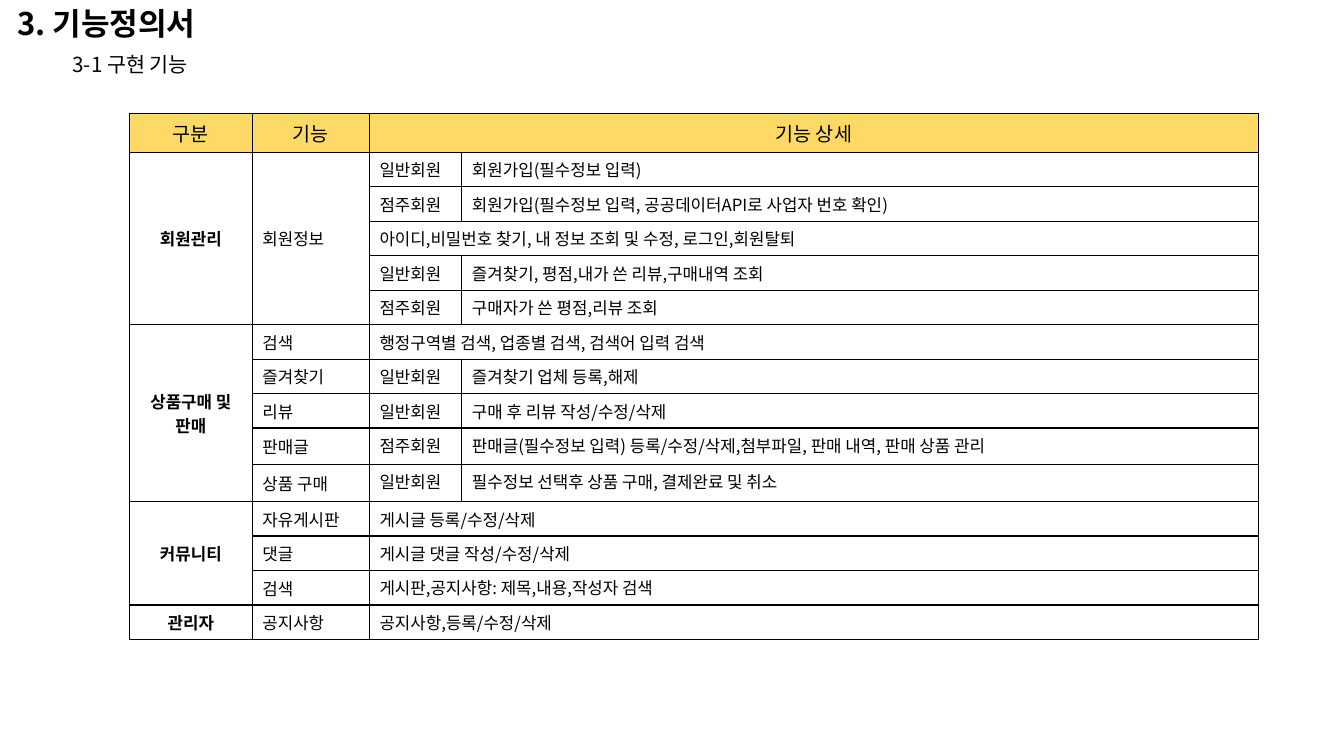
from dataclasses import dataclass

from lxml.etree import SubElement
from pptx import Presentation
from pptx.dml.color import RGBColor
from pptx.enum.text import MSO_ANCHOR as Anchor, MSO_AUTO_SIZE as AutoSize, PP_ALIGN as Align
from pptx.oxml.ns import qn
from pptx.util import Cm, Pt


@dataclass(frozen=True)
class Theme:
    """Font, colours and type sizes of the deck."""
    font: str = "Noto Sans CJK KR"
    ink: str = "000000"
    header_fill: str = "FFD966"
    title: float = 22.2
    subtitle: float = 14.8
    header: float = 14
    body: float = 12
    border: float = 1


THEME = Theme()
HEADERS = ("구분", "기능", "기능 상세")
COLUMN_WIDTHS = (3.1, 2.95, 2.33, 20.07)
HEADER_HEIGHT, ROW_HEIGHT = 0.94, 0.84
TALL_ROWS = {9: 0.91, 10: 0.94}
MEMBER, OWNER = "일반회원", "점주회원"
SECTIONS = {
    "회원관리": {
        "회원정보": [
            (MEMBER, "회원가입(필수정보 입력)"),
            (OWNER, "회원가입(필수정보 입력, 공공데이터API로 사업자 번호 확인)"),
            ("아이디,비밀번호 찾기, 내 정보 조회 및 수정, 로그인,회원탈퇴",),
            (MEMBER, "즐겨찾기, 평점,내가 쓴 리뷰,구매내역 조회"),
            (OWNER, "구매자가 쓴 평점,리뷰 조회"),
        ],
    },
    "상품구매 및 판매": {
        "검색": [("행정구역별 검색, 업종별 검색, 검색어 입력 검색",)],
        "즐겨찾기": [(MEMBER, "즐겨찾기 업체 등록,해제")],
        "리뷰": [(MEMBER, "구매 후 리뷰 작성/수정/삭제")],
        "판매글": [(OWNER, "판매글(필수정보 입력) 등록/수정/삭제,첨부파일, 판매 내역, 판매 상품 관리")],
        "상품 구매": [(MEMBER, "필수정보 선택후 상품 구매, 결제완료 및 취소")],
    },
    "커뮤니티": {
        "자유게시판": [("게시글 등록/수정/삭제",)],
        "댓글": [("게시글 댓글 작성/수정/삭제",)],
        "검색": [("게시판,공지사항: 제목,내용,작성자 검색",)],
    },
    "관리자": {"공지사항": [("공지사항,등록/수정/삭제",)]},
}


def write(frame, text, size=THEME.body, bold=False, align=Align.LEFT, line=None, before=None):
    """Write one formatted paragraph into a text frame."""
    para = frame.paragraphs[0]
    para.alignment = align
    if line:
        para.line_spacing = line
    if before:
        para.space_before = Pt(before)
    span = para.add_run()
    span.text = text
    span.font.size = Pt(size)
    span.font.bold = bold
    span.font.name = THEME.font
    span.font.color.rgb = RGBColor.from_string(THEME.ink)
    SubElement(span.font._element, qn("a:ea"), typeface=THEME.font)


def fill_heading(holder, box, text, **style):
    """Move a placeholder to its box and write a heading in it."""
    holder.left, holder.top, holder.width, holder.height = map(Cm, box)
    frame = holder.text_frame
    frame.auto_size = AutoSize.NONE
    frame.word_wrap = False
    frame.vertical_anchor = Anchor.TOP
    frame.margin_top = Cm(0.06)
    write(frame, text, before=10, **style)


def draw_borders(cell):
    """Give a cell a solid line on all four sides."""
    properties = cell._tc.get_or_add_tcPr()
    for side in ("a:lnL", "a:lnR", "a:lnT", "a:lnB"):
        line = SubElement(properties, qn(side), w=str(Pt(THEME.border)))
        SubElement(SubElement(line, qn("a:solidFill")), qn("a:srgbClr"), val=THEME.ink)


def fill_cell(table, first, last=None, text="", anchor=Anchor.MIDDLE, **style):
    """Merge the cells from first to last and write the text."""
    cell = table.cell(*first)
    if last and last != first:
        cell.merge(table.cell(*last))
    cell.vertical_anchor = anchor
    write(cell.text_frame, text, **style)


def fill_section(table, top, name, features):
    """Fill the rows of one section and return the next free row."""
    row = top
    for feature, details in features.items():
        fill_cell(table, (row, 1), (row + len(details) - 1, 1), feature)
        for detail in details:
            if len(detail) == 1:
                fill_cell(table, (row, 2), (row, 3), detail[0], Anchor.TOP)
            else:
                for column, text in enumerate(detail, 2):
                    fill_cell(table, (row, column), text=text, anchor=Anchor.TOP)
            row += 1
    fill_cell(table, (top, 0), (row - 1, 0), name, bold=True, align=Align.CENTER)
    return row


def add_feature_table(page, left, top):
    """Draw the feature table with its corner at left and top."""
    count = 1 + sum(len(details) for features in SECTIONS.values() for details in features.values())
    heights = [HEADER_HEIGHT] + [TALL_ROWS.get(row, ROW_HEIGHT) for row in range(1, count)]
    box = map(Cm, (left, top, sum(COLUMN_WIDTHS), sum(heights)))
    table = page.shapes.add_table(count, len(COLUMN_WIDTHS), *box).table
    table.first_row = table.horz_banding = False
    for column, width in zip(table.columns, COLUMN_WIDTHS):
        column.width = Cm(width)
    for index, (row, height) in enumerate(zip(table.rows, heights)):
        row.height = Cm(height)
        for cell in row.cells:
            draw_borders(cell)
            if index:
                cell.fill.background()
            else:
                cell.fill.solid()
                cell.fill.fore_color.rgb = RGBColor.from_string(THEME.header_fill)
    for column, text in enumerate(HEADERS):
        last = (0, 3) if column == 2 else None
        fill_cell(table, (0, column), last, text, size=THEME.header, align=Align.CENTER)
    row = 1
    for name, features in SECTIONS.items():
        row = fill_section(table, row, name, features)


def add_feature_page(deck):
    """Add the page with the headings and the feature table."""
    page = deck.slides.add_slide(deck.slide_layouts[0])
    title, subtitle = page.placeholders
    fill_heading(title, (0.18, 0.23, 5.33, 1.09), "3. 기능정의서", size=THEME.title, bold=True, line=0.8)
    fill_heading(subtitle, (1.57, 1.32, 3.94, 0.89), "3-1 구현 기능", size=THEME.subtitle, line=0.9)
    add_feature_table(page, 3.26, 2.86)


def main():
    """Build the deck and save it."""
    deck = Presentation()
    deck.slide_width, deck.slide_height = Cm(33.87), Cm(19.05)
    add_feature_page(deck)
    deck.save("out.pptx")


if __name__ == "__main__":
    main()
